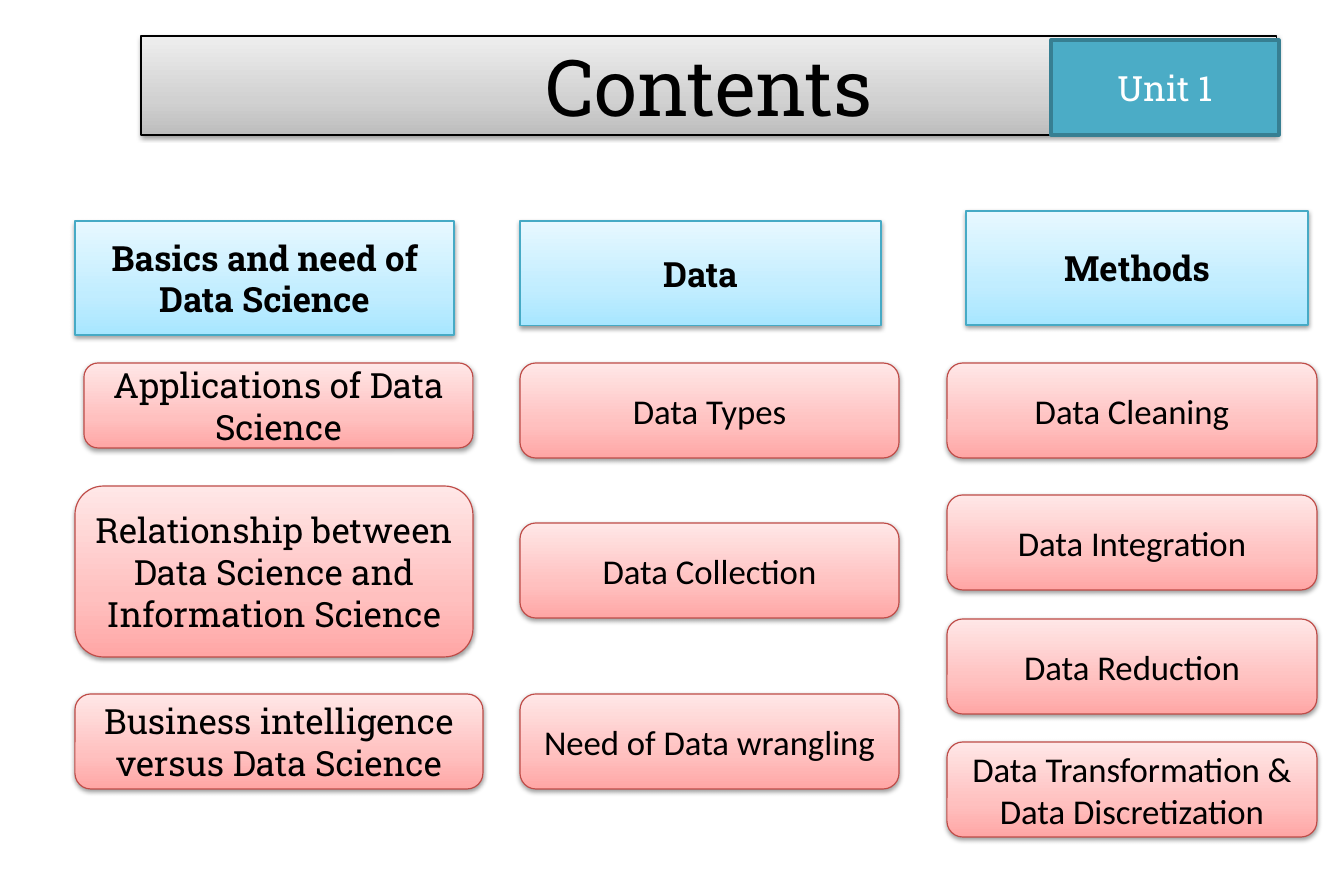
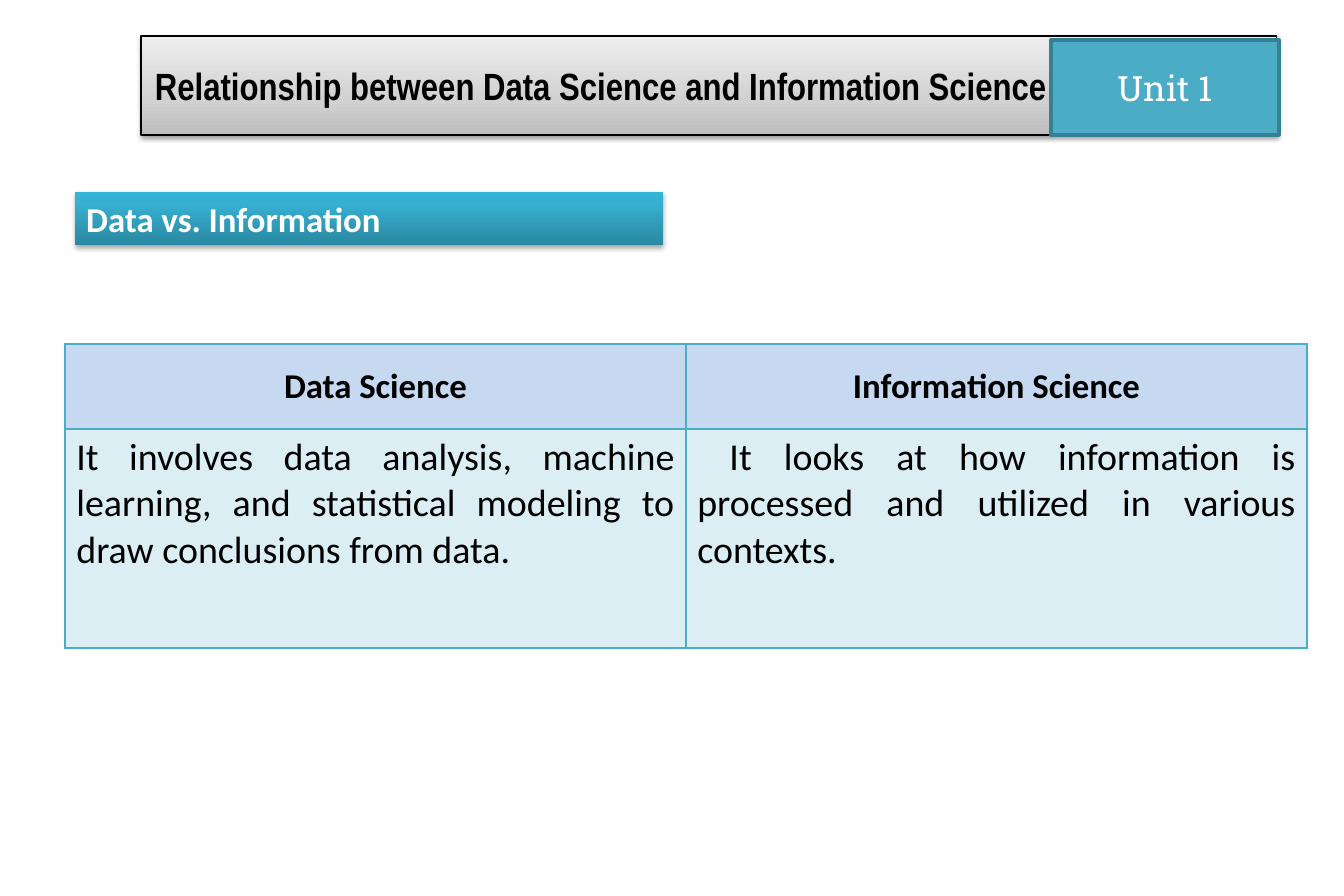
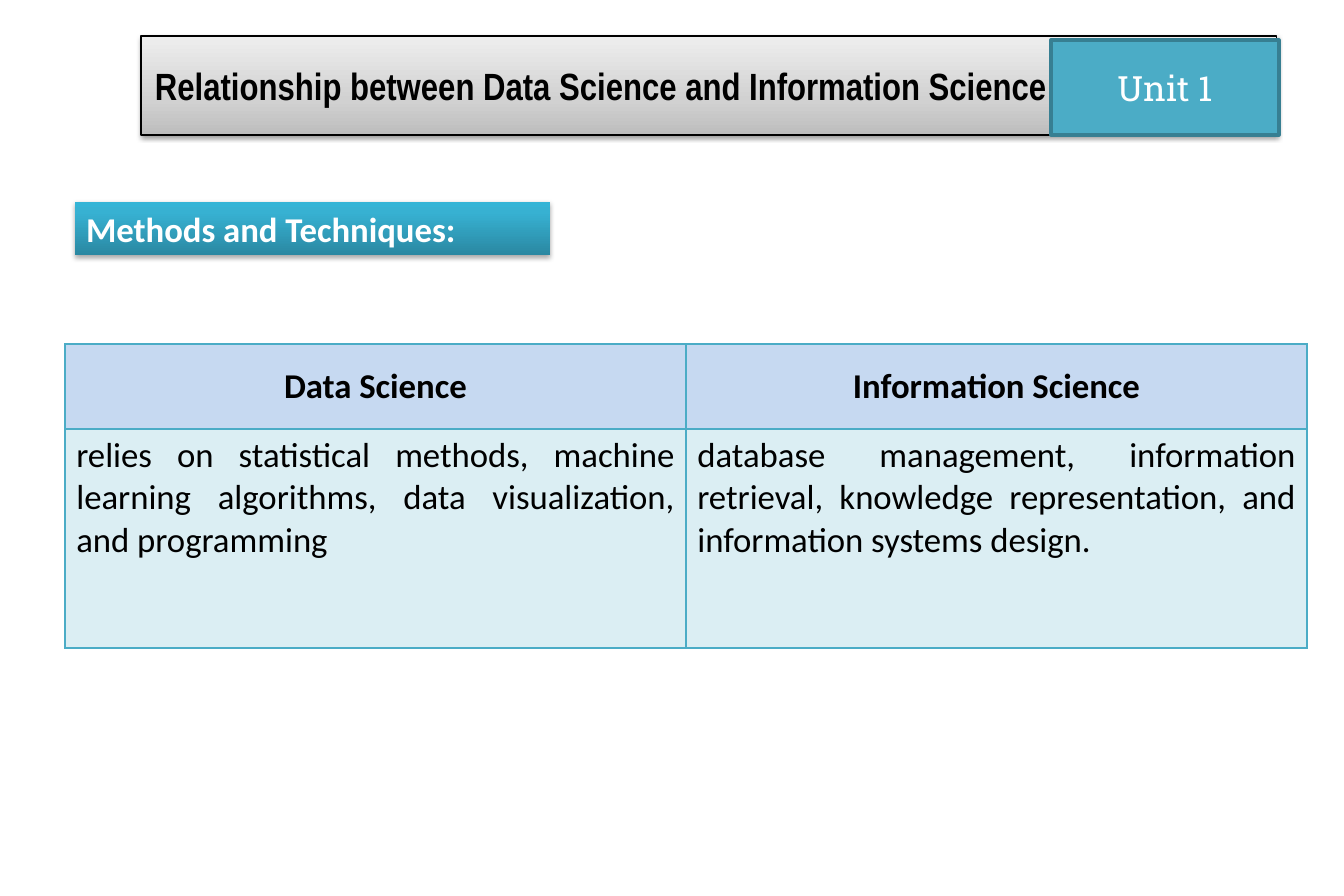
import dataclasses

import lxml.etree
import pptx
import pptx.dml.color
import pptx.enum.shapes
import pptx.enum.text
import pptx.oxml.ns
import pptx.util

SLIDE_WIDTH, SLIDE_HEIGHT = 1344, 896  # px
SCALE = pptx.util.Pt(850.5) / SLIDE_WIDTH  # EMU in one px
SHAPES = pptx.enum.shapes.MSO_SHAPE
ALIGN = pptx.enum.text.PP_ALIGN
ANCHOR = pptx.enum.text.MSO_ANCHOR


@dataclasses.dataclass(frozen=True)
class Theme:
    # Colours
    ink: str = "000000"
    paper: str = "FFFFFF"
    accent: str = "4BACC6"
    accent_edge: str = "377F92"
    heading_edge: str = "46AAC5"
    topic_edge: str = "BF4C48"
    table_head: str = "C6D9F1"
    # Gradients, from bottom to top: (percent, colour)
    band: tuple = ((0, "BDBDBD"), (35, "D1D1D1"), (100, "EEEEEE"))
    heading: tuple = ((0, "A7E6FF"), (35, "C1EDFF"), (100, "E7F8FF"))
    topic: tuple = ((0, "FFA6A5"), (35, "FFC0BF"), (100, "FFE7E7"))
    tag: tuple = ((0, "2A88A2"), (80, "37B1D2"), (100, "34B4D6"))
    # Shadows: opacity in percent, distance in points
    soft: tuple = (38, 1.6)
    deep: tuple = (35, 1.8)
    # Type
    slab: str = "Roboto Slab"
    sans: str = "Calibri"
    narrow: str = "Arial Narrow"
    display: float = 49.5
    large: int = 24
    normal: int = 22


THEME = Theme()


def px(length):
    return pptx.util.Emu(round(length * SCALE))


def rgb(colour):
    return pptx.dml.color.RGBColor.from_string(colour)


def child(parent, tag, **attributes):
    """Append one DrawingML element."""
    element = lxml.etree.SubElement(parent, pptx.oxml.ns.qn(tag))
    for name, value in attributes.items():
        element.set(name, str(value))
    return element


def write(frame, text, size=THEME.normal, font=THEME.sans, colour=THEME.ink,
          bold=False, align=ALIGN.CENTER, anchor=ANCHOR.MIDDLE):
    """Fill a text frame, one paragraph for each line of text."""
    frame.word_wrap = True
    frame.vertical_anchor = anchor
    frame.text = text
    for paragraph in frame.paragraphs:
        paragraph.alignment = align
        for run in paragraph.runs:
            run.font.size = pptx.util.Pt(size)
            run.font.name = font
            run.font.bold = bold
            run.font.color.rgb = rgb(colour)


def panel(slide, box, fill, edge=None, edge_width=0.75, shadow=None, kind=SHAPES.RECTANGLE):
    """Add a shape with a flat or gradient fill and an optional shadow."""
    shape = slide.shapes.add_shape(kind, *map(px, box))
    if isinstance(fill, str):
        shape.fill.solid()
        shape.fill.fore_color.rgb = rgb(fill)
    else:
        shape.fill.gradient()
        shape.fill.gradient_angle = 90
        stops = shape._element.spPr.find(".//" + pptx.oxml.ns.qn("a:gsLst"))
        for stop in list(stops):
            stops.remove(stop)
        for percent, colour in fill:
            child(child(stops, "a:gs", pos=percent * 1000), "a:srgbClr", val=colour)
    if edge:
        shape.line.color.rgb = rgb(edge)
        shape.line.width = pptx.util.Pt(edge_width)
    else:
        shape.line.fill.background()
    shape.shadow.inherit = False
    if shadow:
        opacity, distance = shadow
        effects = shape._element.spPr.find(pptx.oxml.ns.qn("a:effectLst"))
        outer = child(effects, "a:outerShdw", blurRad=pptx.util.Pt(3.1),
                      dist=pptx.util.Pt(distance), dir=5400000, rotWithShape=0)
        child(child(outer, "a:srgbClr", val=THEME.ink), "a:alpha", val=opacity * 1000)
    return shape


def header(slide, box, title, **title_format):
    """Title band with the unit badge at its right end."""
    left, top, width, height = box
    band = panel(slide, box, THEME.band, THEME.ink, shadow=THEME.soft)
    frame = band.text_frame
    frame.margin_left = frame.margin_right = px(14)
    frame.margin_top = frame.margin_bottom = px(7)
    write(frame, title, **title_format)
    badge = panel(slide, (left + width - 226, top + 4, 228, height - 4),
                  THEME.accent, THEME.accent_edge, 2)
    write(badge.text_frame, "Unit 1", font=THEME.slab, colour=THEME.paper)


def topic_column(slide, origin, heading, topics, font):
    """A heading over its topics; each part is (x, y, width, height, text)."""
    left, top = origin
    x, y, width, height, text = heading
    head = panel(slide, (left + x, top + y, width, height), THEME.heading,
                 THEME.heading_edge, shadow=THEME.soft)
    write(head.text_frame, text, font=THEME.slab, bold=True)
    for x, y, width, height, text in topics:
        topic = panel(slide, (left + x, top + y, width, height), THEME.topic,
                      THEME.topic_edge, shadow=THEME.soft, kind=SHAPES.ROUNDED_RECTANGLE)
        write(topic.text_frame, text, font=font)


def section_tag(slide, box, text):
    tag = panel(slide, box, THEME.tag, shadow=THEME.deep)
    write(tag.text_frame, text, colour=THEME.paper, bold=True,
          align=ALIGN.LEFT, anchor=ANCHOR.TOP)


def style_cell(cell, fill, opacity=100, **widths):
    """Set the borders first, then the fill, as the schema orders them."""
    properties = cell._tc.get_or_add_tcPr()
    for side in ("L", "R", "T", "B"):
        border = child(properties, "a:ln" + side, w=pptx.util.Pt(widths.get(side, 1)))
        child(child(border, "a:solidFill"), "a:srgbClr", val=THEME.accent)
    cell.fill.solid()
    cell.fill.fore_color.rgb = rgb(fill)
    if opacity < 100:
        colour = properties.find(pptx.oxml.ns.qn("a:solidFill"))[0]
        child(colour, "a:alpha", val=opacity * 1000)


def comparison(slide, box, statements, size):
    """Two columns that set data science against information science."""
    left, top, width, height = box
    table = slide.shapes.add_table(2, 2, *map(px, box)).table
    table.first_row = table.horz_banding = False
    head_height = 85
    table.rows[0].height = px(head_height)
    table.rows[1].height = px(height - head_height)
    fields = ("Data Science", "Information Science")
    for index, (field, statement) in enumerate(zip(fields, statements)):
        table.columns[index].width = px(width // 2)
        head, body = table.cell(0, index), table.cell(1, index)
        style_cell(head, THEME.table_head, B=2)
        write(head.text_frame, field, bold=True)
        head.vertical_anchor = ANCHOR.MIDDLE
        style_cell(body, THEME.accent, opacity=20, T=2)
        write(body.text_frame, statement, size=size, align=ALIGN.JUSTIFY, anchor=ANCHOR.TOP)
        body.vertical_anchor = ANCHOR.TOP


HEADER_BOX = (141, 36, 1136, 99)


def contents_slide(slide):
    header(slide, HEADER_BOX, "Contents", size=THEME.display, font=THEME.slab)
    topic_column(
        slide, (75, 221), (0, 0, 379, 114, "Basics and need of Data Science"),
        [(9, 142, 389, 85, "Applications of Data Science"),
         (0, 265, 398, 171, "Relationship between Data Science and Information Science"),
         (0, 473, 408, 95, "Business intelligence versus Data Science")],
        THEME.slab)
    data = ((142, "Data Types"), (302, "Data Collection"), (473, "Need of Data wrangling"))
    topic_column(slide, (520, 221), (0, 0, 361, 105, "Data"),
                 [(0, y, 379, 95, text) for y, text in data], THEME.sans)
    methods = ((152, "Data Cleaning"), (284, "Data Integration"), (408, "Data Reduction"),
               (531, "Data Transformation &\nData Discretization"))
    topic_column(slide, (947, 211), (19, 0, 342, 114, "Methods"),
                 [(0, y, 370, 95, text) for y, text in methods], THEME.sans)


def comparison_slide(slide, tag, tag_top, tag_width, statements, size):
    header(slide, HEADER_BOX, "Relationship between Data Science and Information Science",
           size=THEME.large, font=THEME.narrow, bold=True, align=ALIGN.LEFT)
    comparison(slide, (65, 344, 1242, 304), statements, size)
    section_tag(slide, (75, tag_top, tag_width, 53), tag)


def main():
    deck = pptx.Presentation()
    deck.slide_width, deck.slide_height = px(SLIDE_WIDTH), px(SLIDE_HEIGHT)
    blank = deck.slide_layouts[6]

    contents_slide(deck.slides.add_slide(blank))
    comparison_slide(
        deck.slides.add_slide(blank), "Data vs. Information", 192, 588,
        ("It involves data analysis, machine learning, and statistical modeling "
         "to draw conclusions from data.",
         " It looks at how information is processed and utilized in various contexts."),
        THEME.large)
    comparison_slide(
        deck.slides.add_slide(blank), "Methods and Techniques:", 202, 475,
        ("relies on statistical methods, machine learning algorithms, "
         "data visualization, and programming",
         "database management, information retrieval, knowledge representation, "
         "and information systems design."),
        THEME.normal)
    deck.save("out.pptx")


if __name__ == "__main__":
    main()
